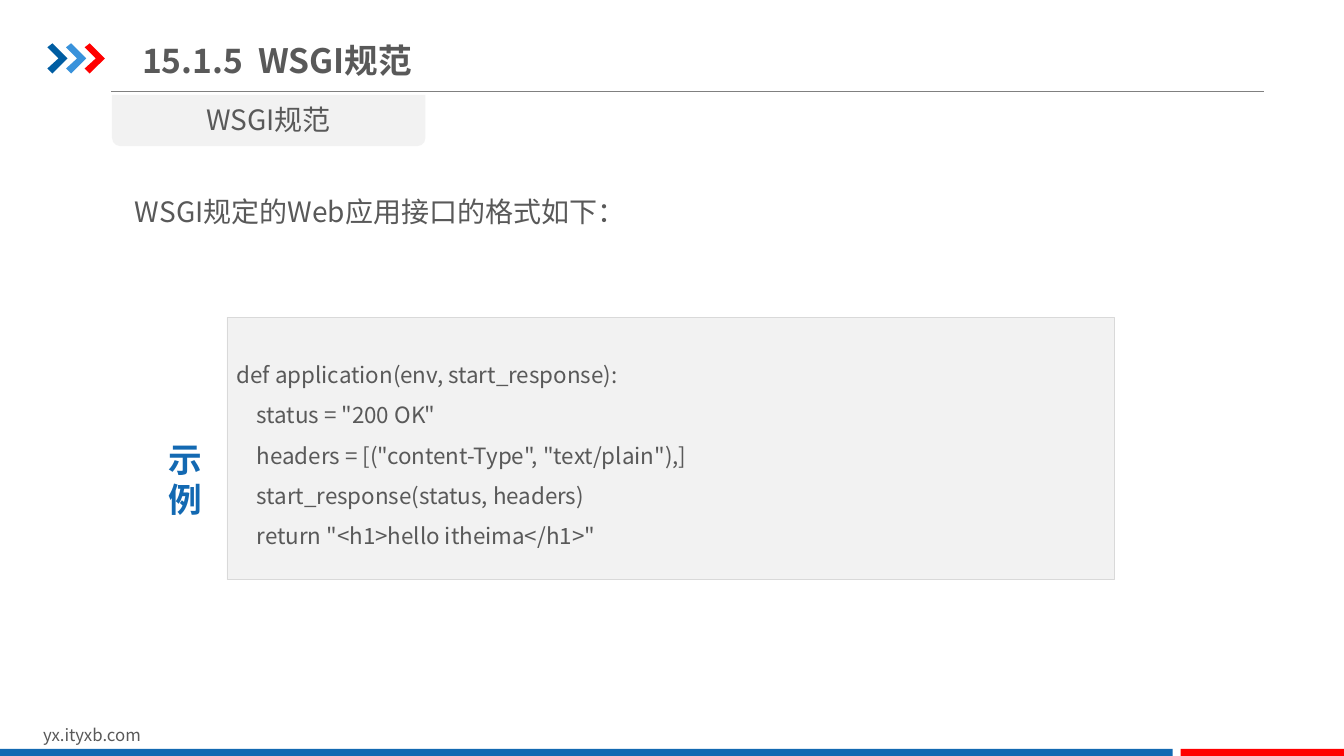
from dataclasses import dataclass

from lxml import etree
from pptx import Presentation
from pptx.dml.color import RGBColor
from pptx.enum import shapes, text
from pptx.oxml import ns
from pptx.util import Inches, Pt


@dataclass(frozen=True)
class Theme:
    font: str = "Noto Sans CJK SC"
    ink: str = "595959"
    blue: str = "1369B2"
    dark_blue: str = "005DA2"
    light_blue: str = "3992DB"
    red: str = "FF0000"
    panel: str = "F2F2F2"
    border: str = "D9D9D9"
    rule: str = "808080"
    heading: int = 24
    body: int = 20
    code: int = 16
    footer: int = 12


THEME = Theme()
CODE = '''def application(env, start_response):
    status = "200 OK"
    headers = [("content-Type", "text/plain"),]
    start_response(status, headers)
    return "<h1>hello itheima</h1>"'''


def place(*lengths):
    return [Inches(length) for length in lengths]


def paint(shape, color):
    shape.shadow.inherit = False
    shape.fill.solid()
    shape.fill.fore_color.rgb = RGBColor.from_string(color)
    shape.line.fill.background()


def write(shape, words, size, color=THEME.ink, bold=False,
          align=text.PP_ALIGN.LEFT, anchor=text.MSO_ANCHOR.TOP, spacing=1.0):
    frame = shape.text_frame
    frame.word_wrap = True
    frame.auto_size = text.MSO_AUTO_SIZE.NONE
    frame.vertical_anchor = anchor
    frame.text = words
    for para in frame.paragraphs:
        para.alignment = align
        para.line_spacing = spacing
        para.space_before = Pt(0)
        font = para.font
        font.size = Pt(size)
        font.bold = bold
        font.color.rgb = RGBColor.from_string(color)
        font.name = THEME.font
        defaults = para._p.pPr.find(ns.qn("a:defRPr"))
        etree.SubElement(defaults, ns.qn("a:ea"), typeface=THEME.font)


def add_text(page, box, words, size, **style):
    write(page.shapes.add_textbox(*place(*box)), words, size, **style)


def add_block(page, kind, box, color):
    block = page.shapes.add_shape(kind, *place(*box))
    paint(block, color)
    return block


def add_chevron(page, left, color):
    top = 0.43
    outline = [(0.05, 0), (0.2, 0.15), (0.05, 0.3), (0, 0.25), (0.11, 0.15), (0, 0.04)]
    points = [place(left + x, top + y) for x, y in outline]
    builder = page.shapes.build_freeform(*points[0])
    builder.add_line_segments(points[1:], close=True)
    paint(builder.convert_to_shape(), color)


def add_rule(page, start, end):
    rule = page.shapes.add_connector(
        shapes.MSO_CONNECTOR.STRAIGHT, *place(*start, *end))
    rule.line.color.rgb = RGBColor.from_string(THEME.rule)
    rule.line.width = Pt(0.75)
    etree.SubElement(rule._element.spPr, ns.qn("a:effectLst"))


def set_title(page, box, words):
    title = page.shapes.title
    title.left, title.top, title.width, title.height = place(*box)
    write(title, words, THEME.heading, bold=True, anchor=text.MSO_ANCHOR.MIDDLE)
    properties = title.text_frame.paragraphs[0]._p.pPr
    tabs = etree.Element(ns.qn("a:tabLst"))
    etree.SubElement(tabs, ns.qn("a:tab"), pos=str(Inches(1.15)), algn="l")
    properties.find(ns.qn("a:defRPr")).addprevious(tabs)


def add_code(page, box):
    panel = add_block(page, shapes.MSO_SHAPE.RECTANGLE, box, THEME.panel)
    panel.line.color.rgb = RGBColor.from_string(THEME.border)
    panel.line.width = Pt(0.25)
    write(panel, CODE, THEME.code, anchor=text.MSO_ANCHOR.MIDDLE, spacing=1.5)


def main():
    deck = Presentation()
    deck.slide_width, deck.slide_height = place(13.33, 7.5)
    page = deck.slides.add_slide(deck.slide_layouts.get_by_name("Title Only"))

    add_rule(page, (1.1, 0.91), (12.54, 0.91))
    for index, color in enumerate((THEME.dark_blue, THEME.light_blue, THEME.red)):
        add_chevron(page, 0.47 + 0.185 * index, color)
    add_text(page, (0.33, 7.14, 3.18, 0.3), "yx.ityxb.com", THEME.footer)
    for left, width, color in ((0, 11.63, THEME.blue), (11.71, 1.62, THEME.red)):
        add_block(page, shapes.MSO_SHAPE.RECTANGLE, (left, 7.43, width, 0.07), color)

    set_title(page, (1.31, 0.29, 5.41, 0.61), "15.1.5\tWSGI规范")
    tab = add_block(page, shapes.MSO_SHAPE.ROUND_2_SAME_RECTANGLE,
                    (1.11, 0.94, 3.11, 0.51), THEME.panel)
    tab.rotation = 180
    add_text(page, (1.11, 0.97, 3.11, 0.44), "WSGI规范", THEME.body,
             align=text.PP_ALIGN.CENTER)
    add_text(page, (1.24, 1.71, 10.46, 0.6), "WSGI规定的Web应用接口的格式如下：",
             THEME.body, spacing=1.5)
    add_code(page, (2.25, 3.15, 8.8, 2.6))
    add_text(page, (1.57, 4.3, 0.54, 0.91), "示\n例", THEME.heading,
             color=THEME.blue, bold=True, align=text.PP_ALIGN.CENTER)
    deck.save("out.pptx")


if __name__ == "__main__":
    main()
